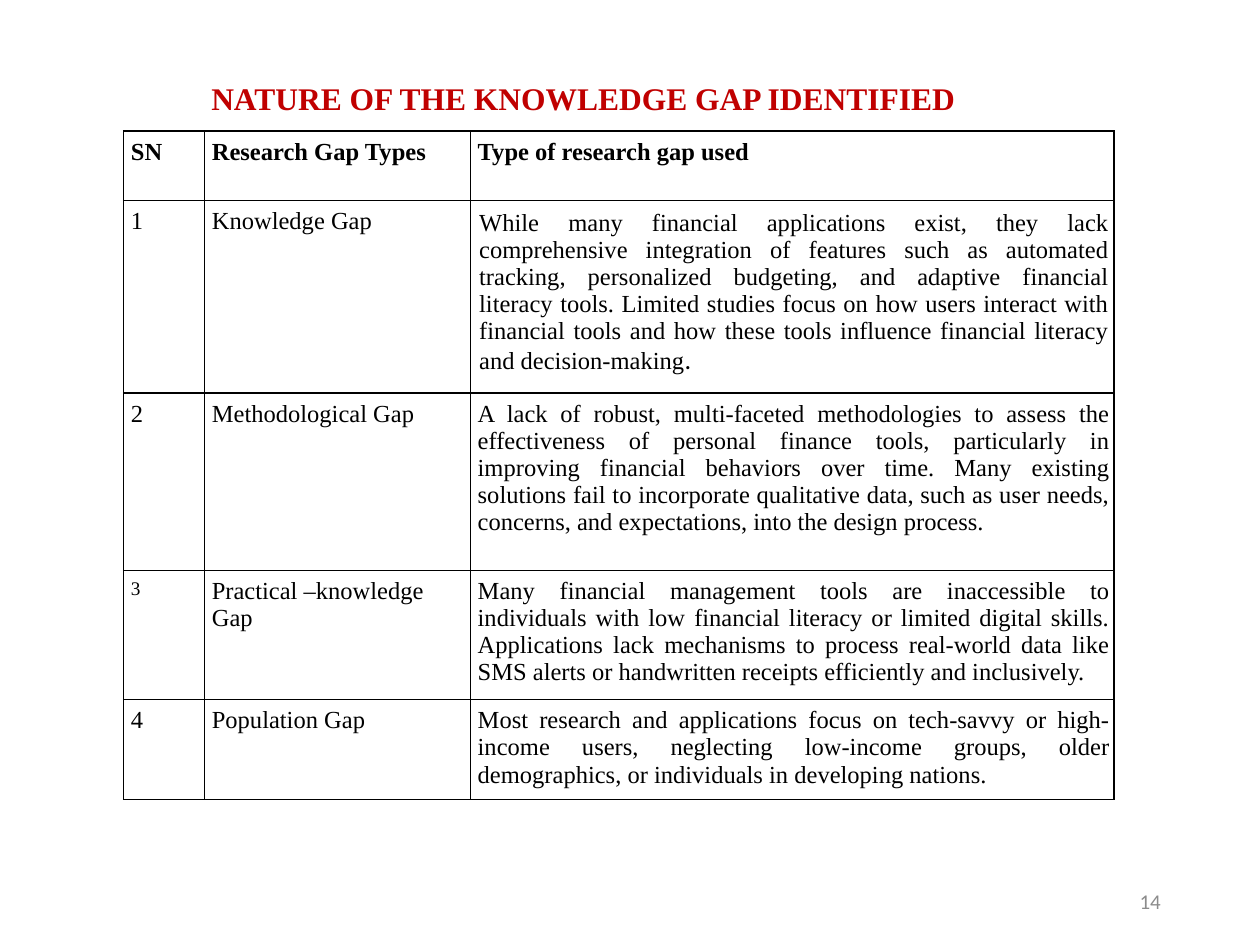
from lxml import etree
from pptx import Presentation
from pptx.dml.color import RGBColor
from pptx.enum.text import MSO_ANCHOR, PP_ALIGN
from pptx.oxml.ns import qn
from pptx.util import Cm, Pt

RED = RGBColor(0xC0, 0x00, 0x00)
BLACK = RGBColor(0x00, 0x00, 0x00)
GRAY = RGBColor(0x8C, 0x8C, 0x8C)
SERIF, SANS = "Times New Roman", "Calibri"
LEFT, RIGHT, JUSTIFY = PP_ALIGN.LEFT, PP_ALIGN.RIGHT, PP_ALIGN.JUSTIFY
MIDDLE = MSO_ANCHOR.MIDDLE

BODY = {"name": SERIF, "size": Pt(14), "bold": False}
HEADER = BODY | {"bold": True}
TITLE = {"name": SERIF, "size": Pt(18), "bold": True}
NUMBER = {"name": SANS, "size": Pt(12)}
SMALL = BODY | {"size": Pt(11)}
FULL_STOP = {"name": SANS, "size": Pt(15), "bold": False}

COL_WIDTHS = [1.63, 5.36, 12.98]
ROW_HEIGHTS = [1.4, 2.44, 3.58, 1.85, 1.75]
MARGINS = {"margin_left": 0.15, "margin_top": 0.15,
           "margin_right": 0.08, "margin_bottom": 0.08}
WIDE_MARGINS = {"margin_left": 0.18, "margin_top": 0.18,
                "margin_right": 0.1, "margin_bottom": 0.1}

ROWS = [
    ("SN", "Research Gap Types", "Type of research gap used"),
    ("1", "Knowledge Gap",
     "While many financial applications exist, they lack comprehensive "
     "integration of features such as automated tracking, personalized "
     "budgeting, and adaptive financial literacy tools. Limited studies focus "
     "on how users interact with financial tools and how these tools "
     "influence financial literacy and decision-making"),
    ("2", "Methodological Gap",
     "A lack of robust, multi-faceted methodologies to assess the "
     "effectiveness of personal finance tools, particularly in improving "
     "financial behaviors over time. Many existing solutions fail to "
     "incorporate qualitative data, such as user needs, concerns, and "
     "expectations, into the design process."),
    ("3", "Practical –knowledge Gap",
     "Many financial management tools are inaccessible to individuals with "
     "low financial literacy or limited digital skills. Applications lack "
     "mechanisms to process real-world data like SMS alerts or handwritten "
     "receipts efficiently and inclusively."),
    ("4", "Population Gap",
     "Most research and applications focus on tech-savvy or high-income "
     "users, neglecting low-income groups, older demographics, or "
     "individuals in developing nations."),
]


def add_run(p, text, font, color):
    r = p.add_run()
    r.text = text
    for name, value in font.items():
        setattr(r.font, name, value)
    r.font.color.rgb = color


def add_label(s, box, text, font, color, align=LEFT, spacing=1.0):
    tf = s.shapes.add_textbox(*map(Cm, box)).text_frame
    tf.word_wrap = True
    tf.vertical_anchor = MIDDLE
    p = tf.paragraphs[0]
    p.alignment = align
    p.line_spacing = spacing
    add_run(p, text, font, color)


def add_borders(cell, color, width):
    tcPr = cell._tc.get_or_add_tcPr()
    for i, side in enumerate(("lnL", "lnR", "lnT", "lnB")):
        ln = etree.Element(qn(f"a:{side}"), w=str(width))
        fill = etree.SubElement(ln, qn("a:solidFill"))
        etree.SubElement(fill, qn("a:srgbClr"), val=str(color))
        tcPr.insert(i, ln)


def fill_cell(cell, text, font, align, margins):
    for name, value in margins.items():
        setattr(cell, name, Cm(value))
    cell.fill.background()
    add_borders(cell, BLACK, Pt(1))
    p = cell.text_frame.paragraphs[0]
    p.alignment = align
    add_run(p, text, font, BLACK)


def add_gap_table(s, left, top):
    size = Cm(sum(COL_WIDTHS)), Cm(sum(ROW_HEIGHTS))
    table = s.shapes.add_table(len(ROWS), len(COL_WIDTHS),
                               Cm(left), Cm(top), *size).table
    table.first_row = table.horz_banding = False
    for column, width in zip(table.columns, COL_WIDTHS):
        column.width = Cm(width)
    for row, height in zip(table.rows, ROW_HEIGHTS):
        row.height = Cm(height)
    for i, texts in enumerate(ROWS):
        for j, text in enumerate(texts):
            font = HEADER if i == 0 else SMALL if (i, j) == (3, 0) else BODY
            align = JUSTIFY if i and j == 2 else LEFT
            margins = WIDE_MARGINS if (i, j) == (1, 2) else MARGINS
            fill_cell(table.cell(i, j), text, font, align, margins)
    add_run(table.cell(1, 2).text_frame.paragraphs[0], ".", FULL_STOP, BLACK)


def main():
    prs = Presentation()
    prs.slide_width, prs.slide_height = Cm(25.4), Cm(19.05)
    s = prs.slides.add_slide(prs.slide_layouts[6])
    add_label(s, (4.01, 1.47, 16.92, 1.12),
              "NATURE OF THE KNOWLEDGE GAP IDENTIFIED", TITLE, RED, spacing=0.9)
    add_gap_table(s, 2.49, 2.64)
    add_label(s, (17.93, 17.65, 5.72, 1.02), "14", NUMBER, GRAY, RIGHT)
    prs.save("out.pptx")


if __name__ == "__main__":
    main()
